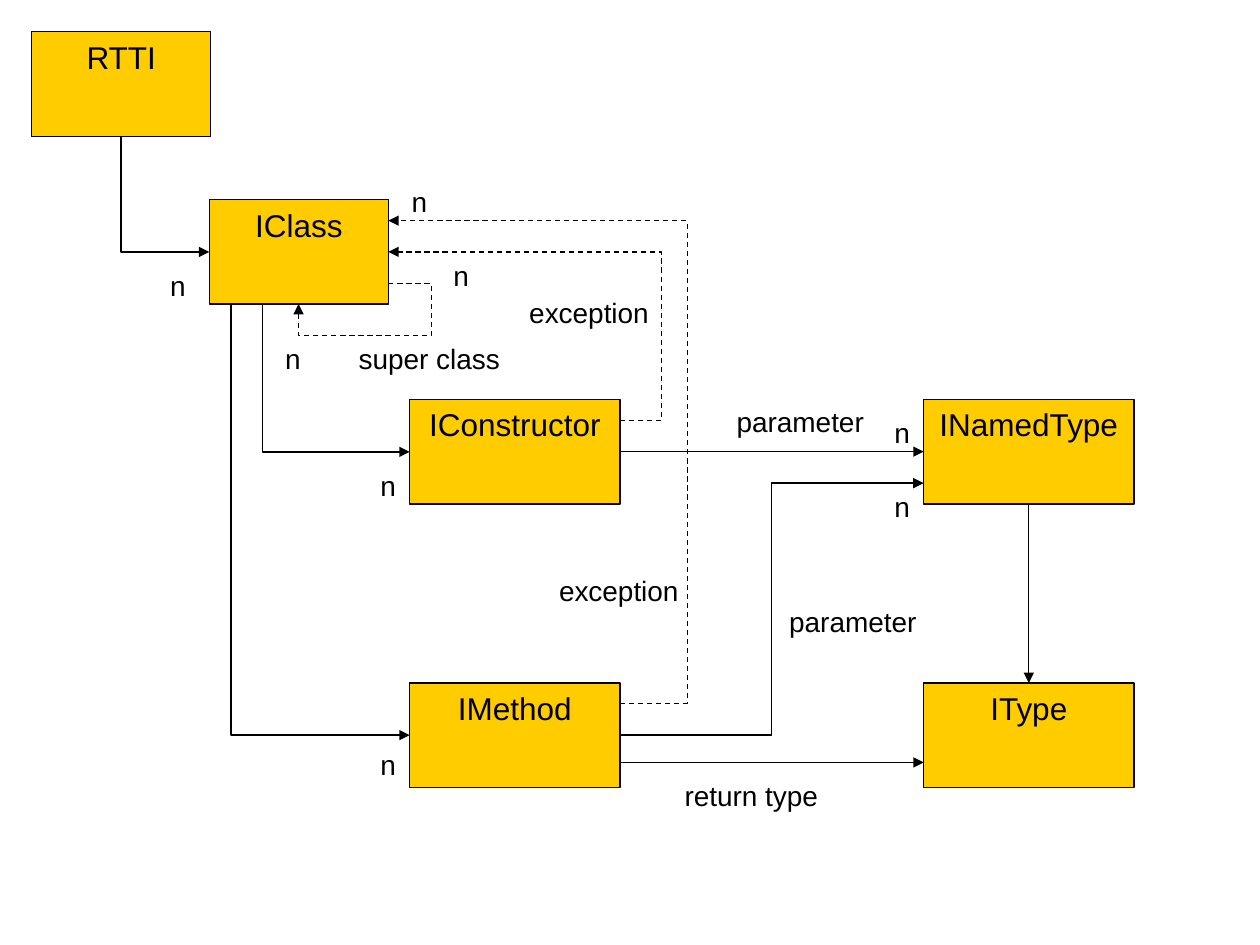
from dataclasses import dataclass

import lxml.etree
import pptx
import pptx.dml.color
import pptx.enum.dml
import pptx.enum.shapes
import pptx.enum.text
import pptx.oxml.ns
import pptx.util

Cm = pptx.util.Cm
Pt = pptx.util.Pt
CONNECTOR = pptx.enum.shapes.MSO_CONNECTOR
BLACK = "000000"
AMBER = "FFCC00"
BOX_H = 2.11
LABEL_H = 0.94
LABEL_W = {"n": 0.81, "parameter": 3.07, "return type": 3.2,
           "super class": 3.35, "exception": 2.92}


@dataclass
class Box:
    text: str
    x: float
    y: float
    w: float = 4.24


@dataclass
class Label:
    text: str
    x: float
    y: float


@dataclass
class Route:
    x1: float
    y1: float
    x2: float
    y2: float
    adj: tuple = ()
    dashed: bool = False


BOXES = [
    Box("IConstructor", 8.26, 8.05),
    Box("INamedType", 18.62, 8.05),
    Box("IType", 18.62, 13.77),
    Box("IClass", 4.22, 4.02, 3.61),
    Box("IMethod", 8.26, 13.77),
    Box("RTTI", 0.64, 0.64, 3.61),
]
CORNERS = [
    Route(2.44, 2.75, 4.22, 5.08),
    Route(5.29, 6.13, 8.26, 9.11),
    Route(4.66, 6.13, 8.26, 14.82),
]
ELBOWS = [
    Route(12.5, 14.82, 18.62, 9.74, (0.5,)),
    Route(7.83, 5.72, 6.02, 6.13, (-0.48, 2.54), True),
    Route(12.5, 8.48, 7.83, 5.08, (-0.18,), True),
    Route(12.5, 14.18, 7.83, 4.45, (-0.29,), True),
]
LABELS = [
    Label("n", 17.78, 8.26),
    Label("n", 17.78, 9.74),
    Label("n", 7.42, 14.94),
    Label("n", 7.42, 9.32),
    Label("n", 3.18, 5.29),
    Label("parameter", 15.66, 12.06),
    Label("parameter", 14.6, 8.04),
    Label("return type", 13.55, 15.58),
    Label("super class", 6.98, 6.77),
    Label("exception", 11.02, 11.43),
    Label("exception", 10.42, 5.84),
    Label("n", 8.89, 5.08),
    Label("n", 8.05, 3.6),
    Label("n", 5.5, 6.77),
]


def rgb(value: str) -> pptx.dml.color.RGBColor:
    return pptx.dml.color.RGBColor.from_string(value)


def write(sp, text: str, size: int, align) -> None:
    tf = sp.text_frame
    tf.text = text
    tf.word_wrap = False
    tf.vertical_anchor = pptx.enum.text.MSO_ANCHOR.TOP
    p = tf.paragraphs[0]
    p.alignment = align
    r = p.runs[0]
    r.font.name = "Arial"
    r.font.size = Pt(size)
    r.font.color.rgb = rgb(BLACK)


def draw_box(s, box: Box):
    sp = s.shapes.add_shape(pptx.enum.shapes.MSO_SHAPE.RECTANGLE,
                            Cm(box.x), Cm(box.y), Cm(box.w), Cm(BOX_H))
    sp.shadow.inherit = False
    sp.fill.solid()
    sp.fill.fore_color.rgb = rgb(AMBER)
    sp.line.color.rgb = rgb(BLACK)
    sp.line.width = Pt(0.75)
    write(sp, box.text, 18, pptx.enum.text.PP_ALIGN.CENTER)
    return sp


def draw_label(s, label: Label) -> None:
    sp = s.shapes.add_textbox(Cm(label.x), Cm(label.y),
                              Cm(LABEL_W[label.text]), Cm(LABEL_H))
    write(sp, label.text, 16, pptx.enum.text.PP_ALIGN.LEFT)


def draw_arrow(s, kind, x1: float, y1: float, x2: float, y2: float,
               dashed: bool = False):
    c = s.shapes.add_connector(kind, Cm(x1), Cm(y1), Cm(x2), Cm(y2))
    c.line.color.rgb = rgb(BLACK)
    c.line.width = Pt(0.75)
    if dashed:
        c.line.dash_style = pptx.enum.dml.MSO_LINE.DASH
    spPr = c._element.spPr
    qn = pptx.oxml.ns.qn
    lxml.etree.SubElement(spPr.find(qn("a:ln")), qn("a:tailEnd"), type="triangle")
    lxml.etree.SubElement(spPr, qn("a:effectLst"))
    return c


def draw_corner(s, route: Route) -> None:
    cx, cy = (route.x1 + route.x2) / 2, (route.y1 + route.y2) / 2
    half_w, half_h = (route.y2 - route.y1) / 2, (route.x2 - route.x1) / 2
    c = draw_arrow(s, CONNECTOR.ELBOW, cx + half_w, cy - half_h,
                   cx - half_w, cy + half_h, route.dashed)
    spPr = c._element.spPr
    spPr.find(pptx.oxml.ns.qn("a:xfrm")).set("rot", "16200000")
    spPr.find(pptx.oxml.ns.qn("a:prstGeom")).set("prst", "bentConnector2")


def draw_elbow(s, route: Route) -> None:
    c = draw_arrow(s, CONNECTOR.ELBOW, route.x1, route.y1,
                   route.x2, route.y2, route.dashed)
    qn = pptx.oxml.ns.qn
    geom = c._element.spPr.find(qn("a:prstGeom"))
    geom.set("prst", f"bentConnector{len(route.adj) + 2}")
    guides = geom.find(qn("a:avLst"))
    for i, adj in enumerate(route.adj, 1):
        lxml.etree.SubElement(guides, qn("a:gd"), name=f"adj{i}",
                              fmla=f"val {round(adj * 100000)}")


def join(s, start, start_side: int, end, end_side: int) -> None:
    c = draw_arrow(s, CONNECTOR.STRAIGHT, 0, 0, 1, 1)
    c.begin_connect(start, start_side)
    c.end_connect(end, end_side)


def main() -> None:
    prs = pptx.Presentation()
    prs.slide_width, prs.slide_height = Cm(25.4), Cm(19.05)
    s = prs.slides.add_slide(prs.slide_layouts[6])
    shapes = {box.text: draw_box(s, box) for box in BOXES}
    for route in CORNERS:
        draw_corner(s, route)
    join(s, shapes["IConstructor"], 3, shapes["INamedType"], 1)
    join(s, shapes["INamedType"], 2, shapes["IType"], 0)
    draw_arrow(s, CONNECTOR.STRAIGHT, 12.5, 15.37, 18.62, 15.37)
    for route in ELBOWS:
        draw_elbow(s, route)
    for label in LABELS:
        draw_label(s, label)
    prs.save("out.pptx")


if __name__ == "__main__":
    main()
